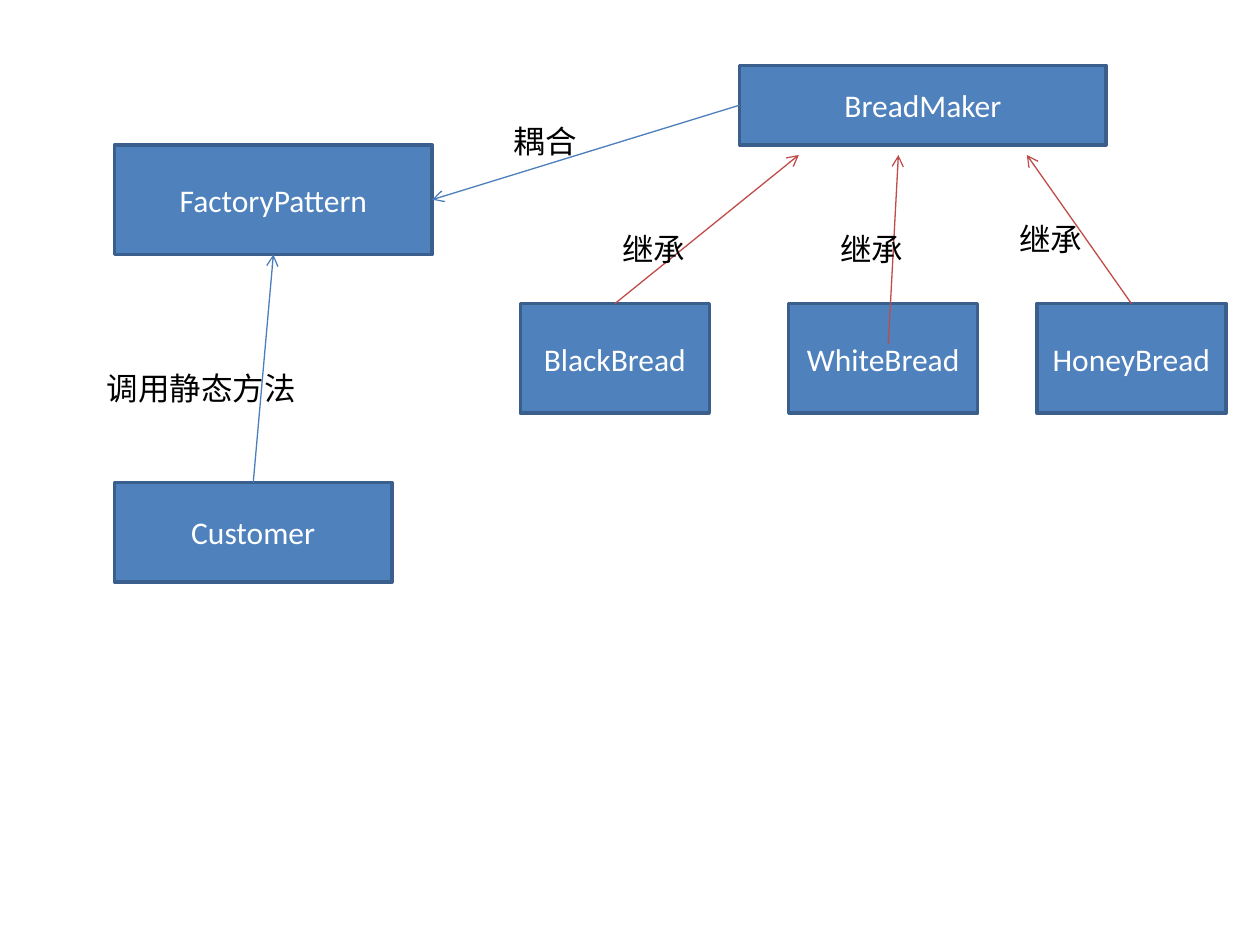
from lxml.etree import SubElement
from pptx import Presentation
from pptx.dml.color import RGBColor
from pptx.enum.shapes import MSO_CONNECTOR as Connector, MSO_SHAPE as Shape
from pptx.enum.text import MSO_ANCHOR as Anchor, MSO_AUTO_SIZE as AutoSize, PP_ALIGN as Align
from pptx.oxml.ns import qn
from pptx.util import Inches, Pt

COLORS = {
    "box": "4F81BD",
    "border": "3A5F8C",
    "inherit": "BF4C48",
    "call": "4B7EBC",
    "box_text": "FFFFFF",
    "label": "000000",
}
TOP, LEFT, BOTTOM = 0, 1, 2


def color(name):
    """Return the named palette colour."""
    return RGBColor.from_string(COLORS[name])


def write(shape, text, color_name, align):
    """Put one styled line of text in a shape."""
    paragraph = shape.text_frame.paragraphs[0]
    paragraph.text = text
    paragraph.alignment = align
    paragraph.font.size = Pt(18)
    paragraph.font.name = "Calibri"
    paragraph.font.color.rgb = color(color_name)


def add_class(slide, name, left, top, width, height):
    """Add a class box with its name centred."""
    shape = slide.shapes.add_shape(
        Shape.RECTANGLE, Inches(left), Inches(top), Inches(width), Inches(height))
    shape.shadow.inherit = False
    shape.fill.solid()
    shape.fill.fore_color.rgb = color("box")
    shape.line.color.rgb = color("border")
    shape.line.width = Pt(2)
    shape.text_frame.word_wrap = True
    shape.text_frame.vertical_anchor = Anchor.MIDDLE
    write(shape, name, "box_text", Align.CENTER)
    return shape


def add_label(slide, text, left, top, width):
    """Add a relation label."""
    label = slide.shapes.add_textbox(
        Inches(left), Inches(top), Inches(width), Inches(0.4))
    label.text_frame.word_wrap = True
    label.text_frame.auto_size = AutoSize.SHAPE_TO_FIT_TEXT
    write(label, text, "label", Align.LEFT)


def add_arrow(slide, color_name, start=(0, 0), end=(0, 0)):
    """Add a thin straight line with an open arrowhead at its end."""
    arrow = slide.shapes.add_connector(
        Connector.STRAIGHT, *(Inches(value) for value in (*start, *end)))
    arrow.line.color.rgb = color(color_name)
    arrow.line.width = Pt(0.75)
    SubElement(arrow.line._get_or_add_ln(), qn("a:tailEnd"), type="arrow")
    SubElement(arrow._element.spPr, qn("a:effectLst"))
    return arrow


def add_hierarchy(slide, left, top):
    """Draw the bread maker above its subclasses and return its box."""
    maker = add_class(slide, "BreadMaker", left + 1.74, top, 2.91, 0.63)
    bread_top = top + 1.89
    breads = [("BlackBread", 0), ("WhiteBread", 2.13), ("HoneyBread", 4.1)]
    boxes = [add_class(slide, name, left + offset, bread_top, 1.5, 0.87)
             for name, offset in breads]
    tip_y = top + 0.71
    add_arrow(slide, "inherit", end=(left + 2.21, tip_y)).begin_connect(boxes[0], TOP)
    add_arrow(slide, "inherit", (left + 2.92, bread_top + 0.32), (left + 3, tip_y))
    add_arrow(slide, "inherit", end=(left + 4.02, tip_y)).begin_connect(boxes[2], TOP)
    for offset_x, offset_y in [(0.71, 1.26), (2.44, 1.26), (3.86, 1.18)]:
        add_label(slide, "继承", left + offset_x, top + offset_y, 1.1)
    return maker


def add_client(slide, left, top):
    """Draw the factory and the customer calling it, and return the factory box."""
    factory = add_class(slide, "FactoryPattern", left, top, 2.52, 0.87)
    customer = add_class(slide, "Customer", left, top + 2.68, 2.2, 0.79)
    add_label(slide, "调用静态方法", left - 0.16, top + 1.73, 2.2)
    call = add_arrow(slide, "call")
    call.begin_connect(customer, TOP)
    call.end_connect(factory, BOTTOM)
    return factory


def add_coupling(slide, maker, factory, left, top):
    """Join the maker to the factory and label the relation."""
    arrow = add_arrow(slide, "call")
    arrow.begin_connect(maker, LEFT)
    arrow.end_connect(factory, 3)
    add_label(slide, "耦合", left, top, 1.18)


def main():
    """Build the factory pattern class diagram."""
    presentation = Presentation()
    presentation.slide_width = Inches(10)
    presentation.slide_height = Inches(7.5)
    slide = presentation.slides.add_slide(presentation.slide_layouts[6])
    maker = add_hierarchy(slide, 4.13, 0.52)
    factory = add_client(slide, 0.91, 1.15)
    add_coupling(slide, maker, factory, 3.98, 0.92)
    presentation.save("out.pptx")


if __name__ == "__main__":
    main()
